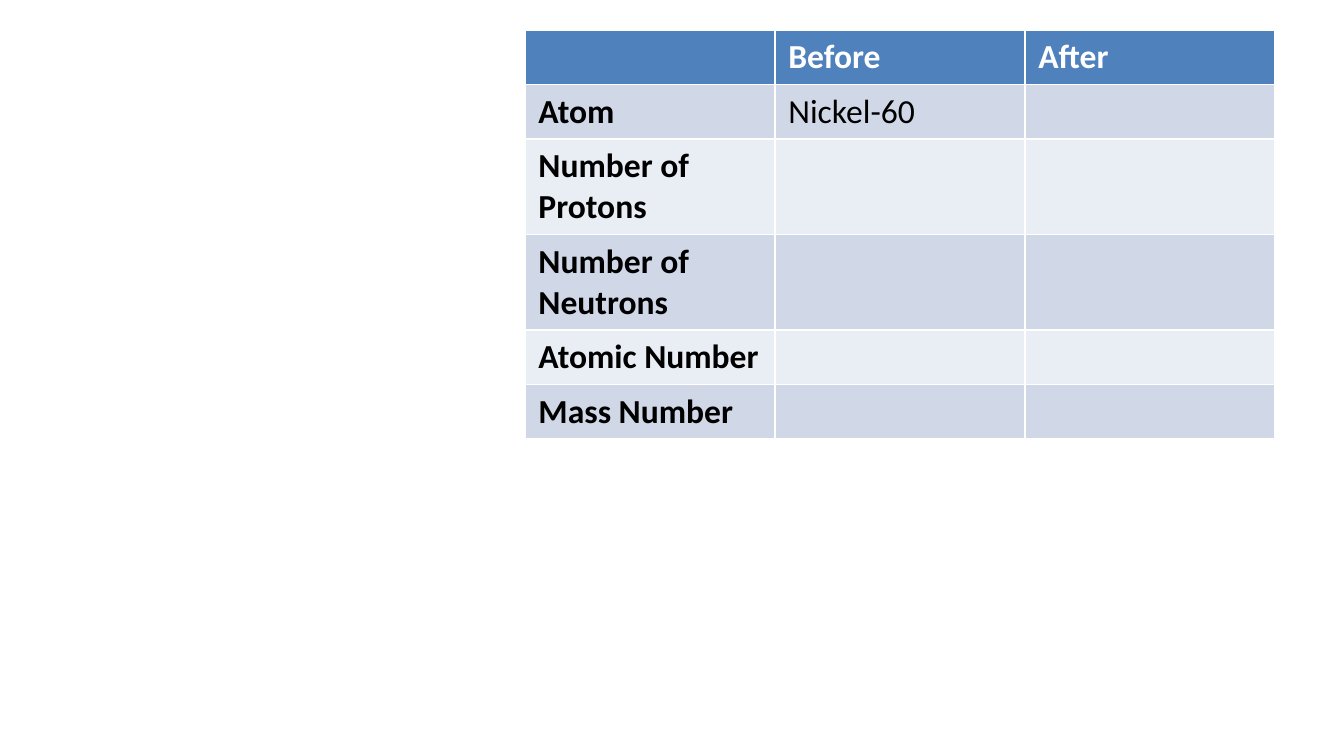
from dataclasses import dataclass

from pptx import Presentation, util as u
from pptx.dml.color import RGBColor

EMU_PER_PX = 914400 / 134.4


@dataclass(frozen=True)
class Theme:
    font: str = "Calibri"
    size: int = 18
    header_fill: str = "4F81BD"
    header_text: str = "FFFFFF"
    body_text: str = "000000"
    bands: tuple[str, str] = ("D0D8E8", "E9EDF4")


@dataclass(frozen=True)
class Row:
    label: str
    before: str = ""
    after: str = ""
    height: int = 54


THEME = Theme()
TABLE_LEFT, TABLE_TOP, COLUMN_WIDTH = 525, 30, 250
TALL_ROW = 95
ROWS = [
    Row("", "Before", "After"),
    Row("Atom", "Nickel-60"),
    Row("Number of Protons", height=TALL_ROW),
    Row("Number of Neutrons", height=TALL_ROW),
    Row("Atomic Number"),
    Row("Mass Number"),
]


def px(length: int) -> u.Emu:
    return u.Emu(round(length * EMU_PER_PX))


def format_cell(cell, value: str, fill: str, color: str, bold: bool) -> None:
    cell.fill.solid()
    cell.fill.fore_color.rgb = RGBColor.from_string(fill)
    paragraph = cell.text_frame.paragraphs[0]
    paragraph.font.size = u.Pt(THEME.size)
    if not value:
        return
    paragraph.text = value
    font = paragraph.runs[0].font
    font.name = THEME.font
    font.size = u.Pt(THEME.size)
    font.bold = bold
    font.color.rgb = RGBColor.from_string(color)


def add_atom_table(slide, rows: list[Row]) -> None:
    """Draw the table; its default style supplies the white borders."""
    height = sum(row.height for row in rows)
    table = slide.shapes.add_table(
        len(rows), 3, px(TABLE_LEFT), px(TABLE_TOP), px(3 * COLUMN_WIDTH), px(height)
    ).table
    for column in table.columns:
        column.width = px(COLUMN_WIDTH)
    for r, row in enumerate(rows):
        table.rows[r].height = px(row.height)
        is_header = r == 0
        fill = THEME.header_fill if is_header else THEME.bands[(r - 1) % 2]
        color = THEME.header_text if is_header else THEME.body_text
        for c, value in enumerate((row.label, row.before, row.after)):
            format_cell(table.cell(r, c), value, fill, color, is_header or c == 0)


def main() -> None:
    presentation = Presentation()
    presentation.slide_width = px(1344)
    presentation.slide_height = px(756)
    slide = presentation.slides.add_slide(presentation.slide_layouts[6])
    add_atom_table(slide, ROWS)
    presentation.save("out.pptx")


if __name__ == "__main__":
    main()
